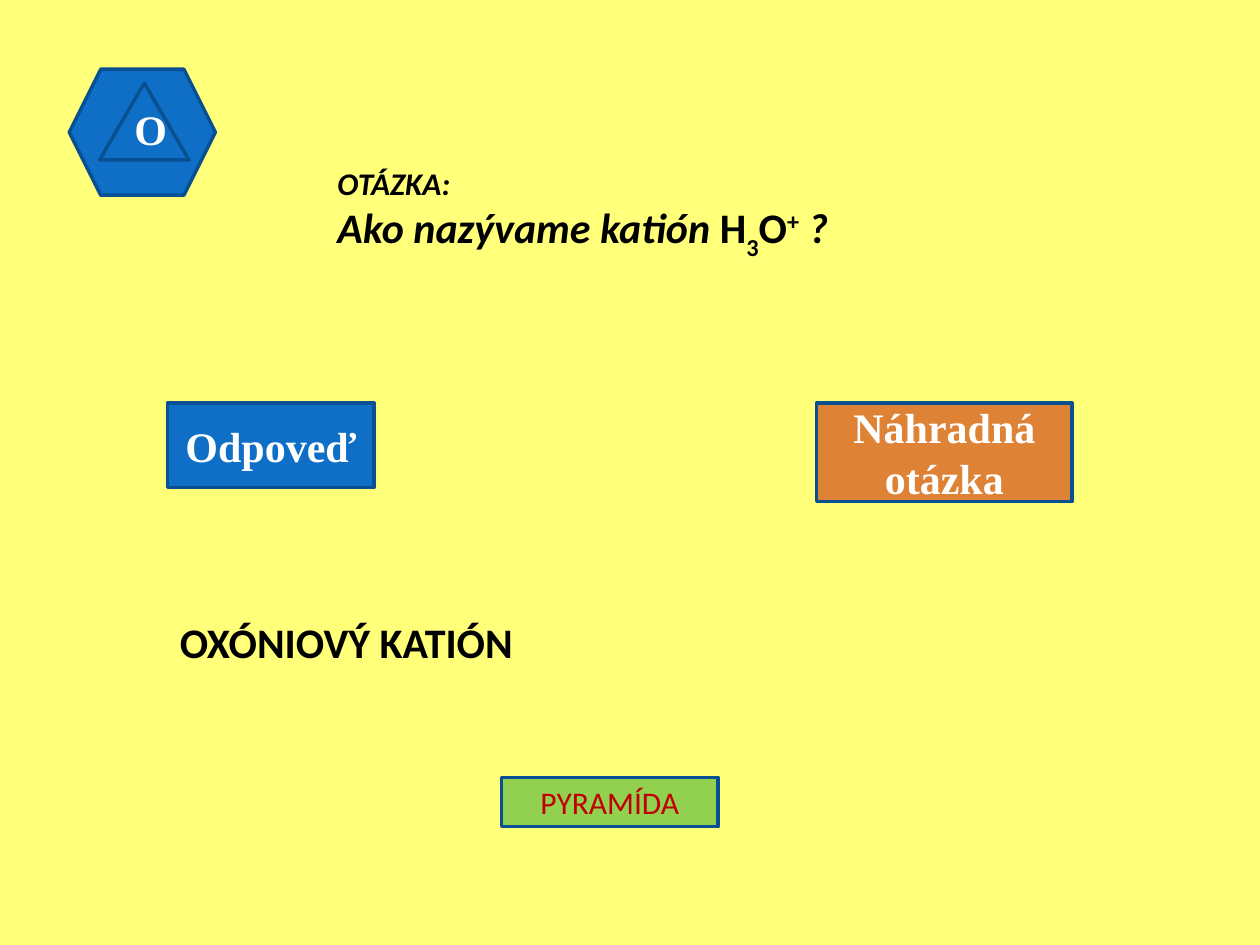
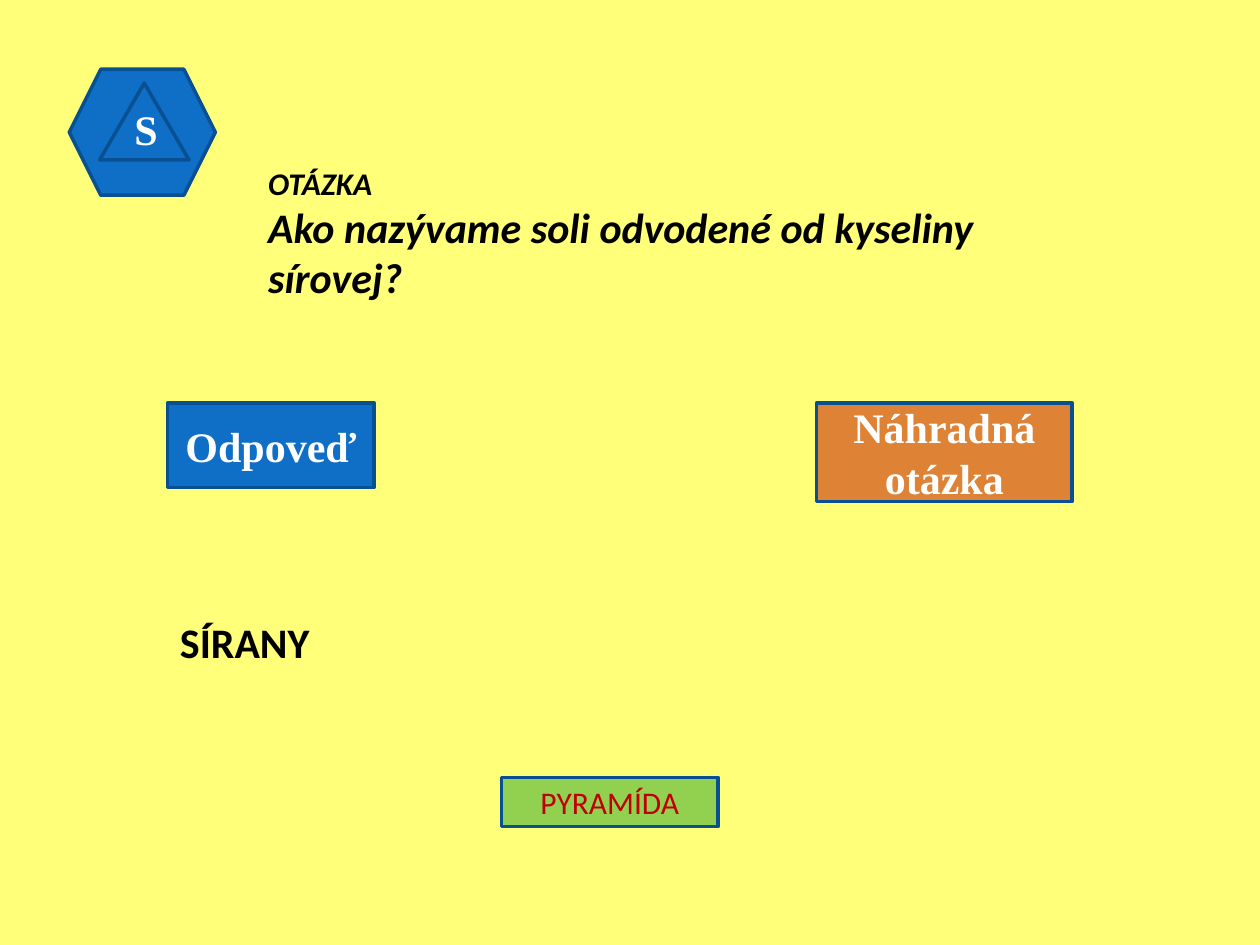
from pptx import Presentation
from pptx.dml.color import RGBColor
from pptx.enum.shapes import MSO_SHAPE
from pptx.enum.text import MSO_ANCHOR, PP_ALIGN
from pptx.util import Inches, Pt

# Shared look
BACKGROUND = "FFFF7A"
BLUE = "0F6FC6"
OUTLINE = "085091"
ORANGE = "DE8236"
GREEN = "92D050"
RED = "C00000"
WHITE = "FFFFFF"
BLACK = "000000"
SERIF = "Times New Roman"
SANS = "Calibri"
SUBSCRIPT, SUPERSCRIPT = "-30000", "30000"

# One entry per slide; question parts are (text, italic, baseline shift)
QUESTIONS = [
    {
        "letter": "O",
        "heading": "OTÁZKA:",
        "parts": [
            ("Ako nazývame katión ", True, None),
            ("H", False, None),
            ("3", False, SUBSCRIPT),
            ("O", False, None),
            ("+", False, SUPERSCRIPT),
            (" ?", True, None),
        ],
        "question_box": (2.58, 1.25, 5, 1.67),
        "answer": "OXÓNIOVÝ KATIÓN",
        "answer_width": 3.28,
    },
    {
        "letter": "S",
        "heading": "OTÁZKA",
        "parts": [("Ako nazývame soli odvodené od kyseliny sírovej?", True, None)],
        "question_box": (2.03, 1.25, 6.56, 1.2),
        "answer": "SÍRANY",
        "answer_width": 1.64,
    },
]


def color(hex_value):
    return RGBColor.from_string(hex_value)


def style(paragraph, size, face, hex_value, bold=True, italic=False):
    font = paragraph.font
    font.size, font.name = Pt(size), face
    font.bold, font.italic = bold, italic
    font.color.rgb = color(hex_value)


def add_outlined(slide, preset, box, fill):
    figure = slide.shapes.add_shape(preset, *map(Inches, box))
    figure.shadow.inherit = False
    figure.fill.solid()
    figure.fill.fore_color.rgb = color(fill)
    figure.line.color.rgb = color(OUTLINE)
    figure.line.width = Pt(2)
    return figure


def add_label(figure, text, anchor, size=24, face=SERIF, hex_value=WHITE, bold=True):
    frame = figure.text_frame
    frame.word_wrap = True
    frame.vertical_anchor = anchor
    label = frame.paragraphs[0]
    label.text = text
    label.alignment = PP_ALIGN.CENTER
    style(label, size, face, hex_value, bold)


def add_button(slide, text, box, fill, **label_style):
    button = add_outlined(slide, MSO_SHAPE.FLOWCHART_PROCESS, box, fill)
    add_label(button, text, MSO_ANCHOR.MIDDLE, **label_style)


def add_text_frame(slide, box):
    frame = slide.shapes.add_textbox(*map(Inches, box)).text_frame
    frame.word_wrap = True
    return frame


def add_badge(slide, letter):
    add_outlined(slide, MSO_SHAPE.HEXAGON, (0.55, 0.55, 1.16, 1), BLUE)
    triangle = add_outlined(
        slide, MSO_SHAPE.ISOSCELES_TRIANGLE, (0.79, 0.66, 0.71, 0.61), BLUE)
    add_label(triangle, letter, MSO_ANCHOR.BOTTOM)


def add_question(slide, heading, parts, box):
    frame = add_text_frame(slide, box)
    title = frame.paragraphs[0]
    title.text = heading
    style(title, 18, SANS, BLACK, italic=True)
    question = frame.add_paragraph()
    style(question, 24, SANS, BLACK, italic=True)
    for text, italic, shift in parts:
        run = question.add_run()
        run.text = text
        if not italic:
            run.font.italic = False
        if shift:
            run._r.get_or_add_rPr().set("baseline", shift)


def add_answer(slide, text, width):
    answer = add_text_frame(slide, (1.33, 4.84, width, 0.5)).paragraphs[0]
    answer.text = text
    style(answer, 24, SANS, BLACK)


def add_question_slide(deck, content):
    slide = deck.slides.add_slide(deck.slide_layouts[6])
    slide.background.fill.solid()
    slide.background.fill.fore_color.rgb = color(BACKGROUND)

    add_badge(slide, content["letter"])
    add_question(slide, content["heading"], content["parts"], content["question_box"])

    # Buttons
    add_button(slide, "Odpoveď", (1.33, 3.2, 1.64, 0.67), BLUE)
    add_button(slide, "Náhradná otázka", (6.48, 3.2, 2.03, 0.78), ORANGE)
    add_button(slide, "PYRAMÍDA", (3.98, 6.17, 1.72, 0.39), GREEN,
               size=18, face=SANS, hex_value=RED, bold=False)

    add_answer(slide, content["answer"], content["answer_width"])


def main():
    deck = Presentation()
    deck.slide_width, deck.slide_height = Inches(10), Inches(7.5)
    for content in QUESTIONS:
        add_question_slide(deck, content)
    deck.save("out.pptx")


if __name__ == "__main__":
    main()
